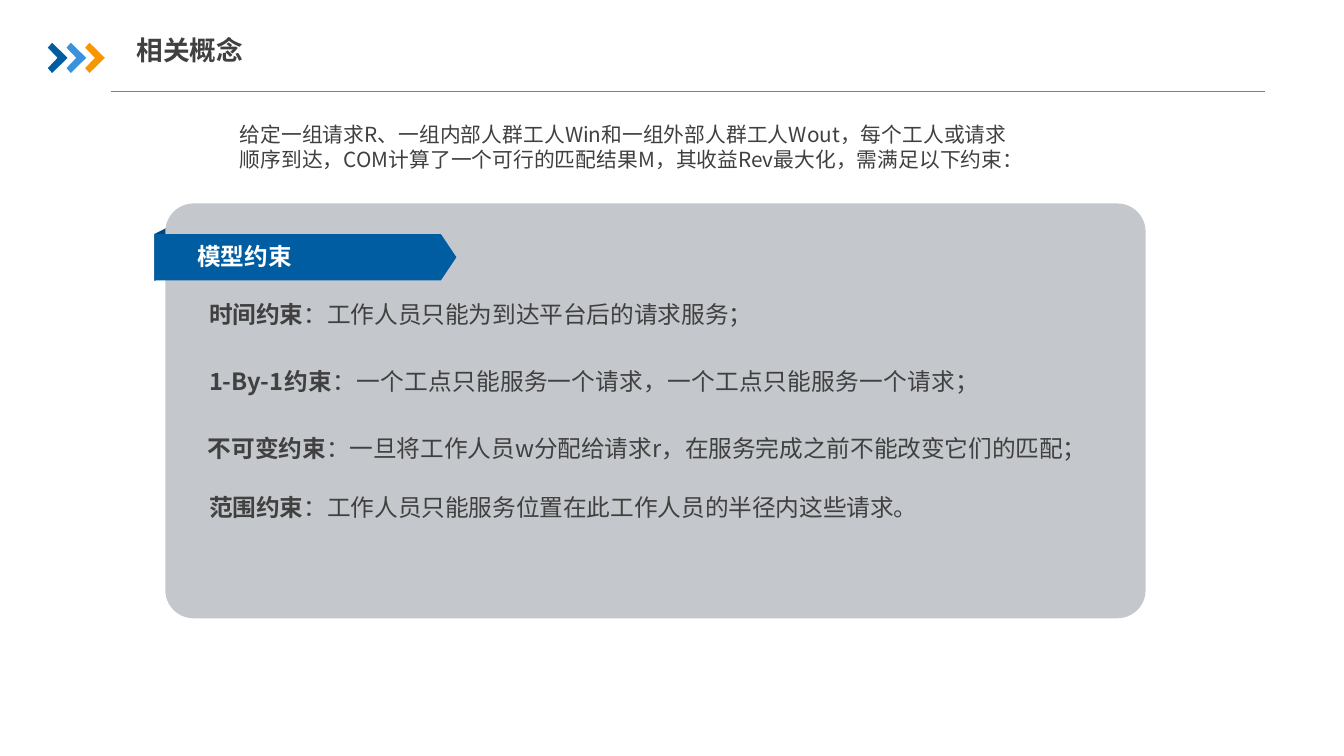
from dataclasses import dataclass

from lxml import etree
from pptx import Presentation
from pptx import util as u
from pptx.dml import color as c
from pptx.enum import shapes, text
from pptx.oxml import ns

FONT = "Noto Sans CJK SC"
COLORS = {
    "blue": "005DA2",
    "sky": "3992DB",
    "orange": "F79600",
    "fold": "00467A",
    "panel": "C4C7CB",
    "rule": "808080",
    "ink": "404040",
    "white": "FFFFFF",
}
CHEVRON_OUTLINE = [(0, 3.3), (2.9, 0), (13.3, 10.2), (2.9, 20.4), (0, 17.1), (6.6, 10.2)]
CHEVRON_LEFT, CHEVRON_TOP, CHEVRON_STEP = 32.3, 28.9, 12.6


@dataclass
class Box:
    left: float
    top: float
    width: float
    height: float

    def lengths(self) -> list:
        return [u.Pt(value) for value in (self.left, self.top, self.width, self.height)]


@dataclass
class Constraint:
    name: str
    detail: str
    box: Box
    inset: tuple = (0, 0)
    spacing: float | None = 13
    align: text.PP_ALIGN | None = text.PP_ALIGN.JUSTIFY
    wrap: bool = True


CONSTRAINTS = [
    Constraint("时间约束", "：工作人员只能为到达平台后的请求服务；", Box(141.1, 208.8, 504.7, 13)),
    Constraint("1-By-1约束", "：一个工点只能服务一个请求，一个工点只能服务一个请求；",
               Box(141.1, 254.2, 504.7, 13)),
    Constraint("不可变约束", "：一旦将工作人员w分配给请求r，在服务完成之前不能改变它们的匹配；",
               Box(133.2, 289.4, 609.1, 26.6), inset=(7.2, 3.6), spacing=None,
               align=None, wrap=False),
    Constraint("范围约束", "：工作人员只能服务位置在此工作人员的半径内这些请求。",
               Box(141.1, 339.1, 504.7, 13)),
]


def rgb(name: str) -> c.RGBColor:
    return c.RGBColor.from_string(COLORS[name])


def paint(shape, fill: str) -> None:
    shape.shadow.inherit = False
    shape.fill.solid()
    shape.fill.fore_color.rgb = rgb(fill)
    shape.line.fill.background()


def add_chevron(slide, left: float, fill: str) -> None:
    points = [(u.Pt(left + x), u.Pt(CHEVRON_TOP + y)) for x, y in CHEVRON_OUTLINE]
    builder = slide.shapes.build_freeform(*points[0])
    builder.add_line_segments(points[1:], close=True)
    paint(builder.convert_to_shape(), fill)


def add_preset(slide, kind, box: Box, fill: str, adjustment: float | None = None):
    shape = slide.shapes.add_shape(kind, *box.lengths())
    if adjustment is not None:
        shape.adjustments[0] = adjustment
    paint(shape, fill)
    return shape


def add_rule(slide, left: float, right: float, top: float) -> None:
    connector = slide.shapes.add_connector(
        shapes.MSO_CONNECTOR.STRAIGHT, u.Pt(left), u.Pt(top), u.Pt(right), u.Pt(top))
    connector.line.color.rgb = rgb("rule")
    connector.line.width = u.Pt(0.75)
    etree.SubElement(connector.element.spPr, ns.qn("a:effectLst"))


def add_text(slide, runs: list[tuple[str, bool]], box: Box, *, size: float = 16,
             color: str = "ink", inset: tuple = (0, 0), spacing: float | None = None,
             align=None, wrap: bool = True, grow: bool = True,
             anchor=text.MSO_ANCHOR.TOP) -> None:
    frame = slide.shapes.add_textbox(*box.lengths()).text_frame
    frame.word_wrap = wrap
    frame.auto_size = text.MSO_AUTO_SIZE.SHAPE_TO_FIT_TEXT if grow else text.MSO_AUTO_SIZE.NONE
    frame.vertical_anchor = anchor
    frame.margin_left = frame.margin_right = u.Pt(inset[0])
    frame.margin_top = frame.margin_bottom = u.Pt(inset[1])
    paragraph = frame.paragraphs[0]
    paragraph.alignment = align
    if spacing is not None:
        paragraph.line_spacing = u.Pt(spacing)
    for words, bold in runs:
        run = paragraph.add_run()
        run.text = words
        run.font.size = u.Pt(size)
        run.font.bold = bold
        run.font.color.rgb = rgb(color)
        run.font.name = FONT
        east_asian = etree.SubElement(run.font._element, ns.qn("a:ea"))
        east_asian.set("typeface", FONT)


def add_header(slide) -> None:
    add_rule(slide, 74.9, 853.9, 61.9)
    for index, fill in enumerate(("blue", "sky", "orange")):
        add_chevron(slide, CHEVRON_LEFT + index * CHEVRON_STEP, fill)
    add_text(slide, [("相关概念", True)], Box(92.2, 18.7, 639.4, 30.2), size=18,
             inset=(0, 3.6), grow=False, anchor=text.MSO_ANCHOR.MIDDLE)


def add_panel(slide) -> None:
    kinds = shapes.MSO_SHAPE
    fold = add_preset(slide, kinds.FLOWCHART_DATA, Box(92.2, 162, 39.6, 15.8), "fold")
    fold.rotation = 270
    fold.element.spPr.find(ns.qn("a:xfrm")).set("flipH", "1")
    add_preset(slide, kinds.ROUNDED_RECTANGLE, Box(111.6, 137.4, 661.7, 280.1), "panel", 0.068)
    add_preset(slide, kinds.PENTAGON, Box(104.3, 158.1, 203.8, 31.2), "blue", 0.335)
    add_text(slide, [("模型约束", True)], Box(133.2, 163.4, 133.9, 19.4), color="white")
    for item in CONSTRAINTS:
        add_text(slide, [(item.name, True), (item.detail, False)], item.box, inset=item.inset,
                 spacing=item.spacing, align=item.align, wrap=item.wrap)


def main() -> None:
    presentation = Presentation()
    presentation.slide_width = u.Pt(907.2)
    presentation.slide_height = u.Pt(510.5)
    slide = presentation.slides.add_slide(presentation.slide_layouts[6])
    add_header(slide)
    add_text(slide, [("给定一组请求R、一组内部人群工人Win和一组外部人群工人Wout，每个工人或"
                      "请求顺序到达，COM计算了一个可行的匹配结果M，其收益Rev最大化，"
                      "需满足以下约束：", False)],
             Box(154.8, 78.5, 535.7, 41), size=14, inset=(7.2, 3.6))
    add_panel(slide)
    presentation.save("out.pptx")


if __name__ == "__main__":
    main()
